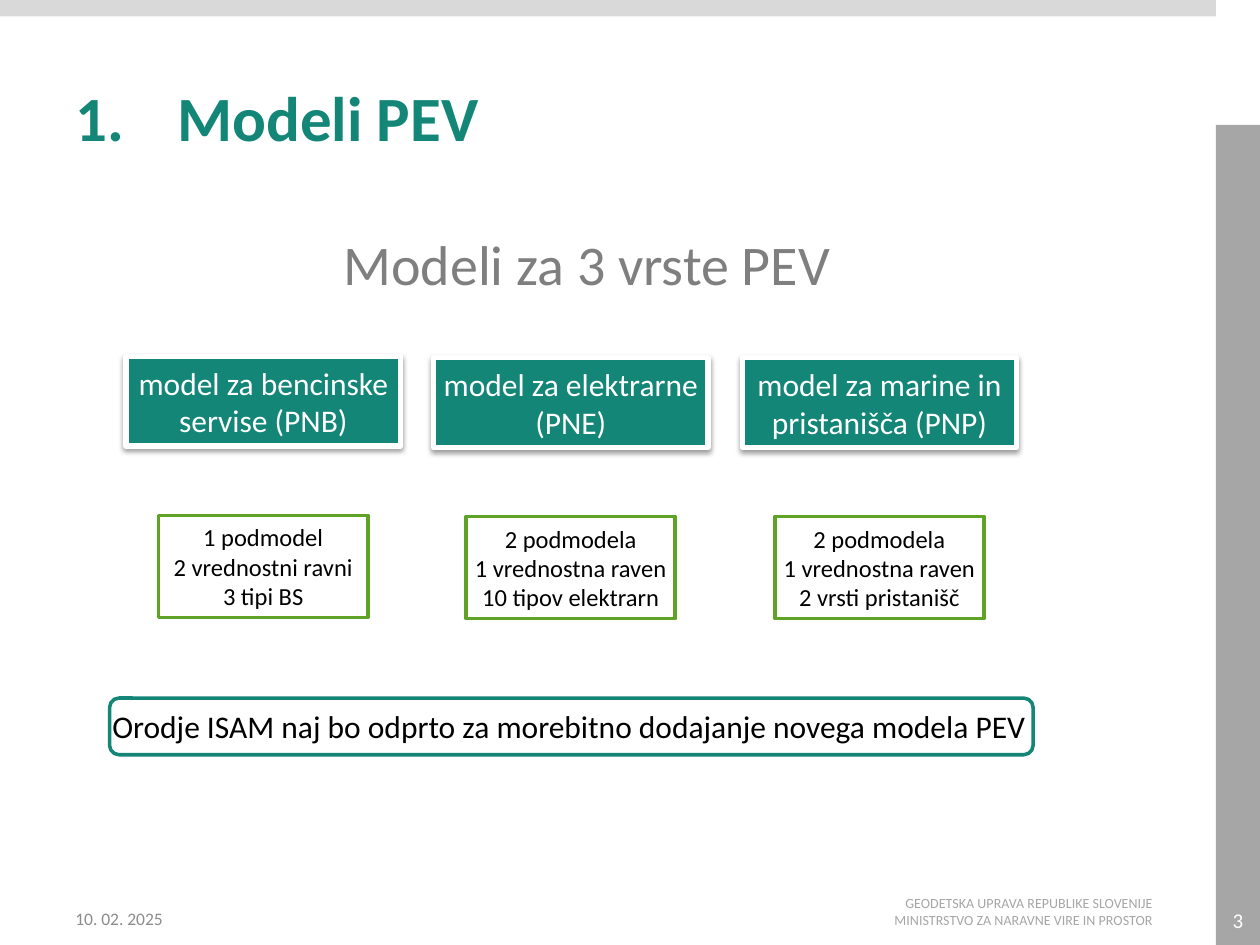
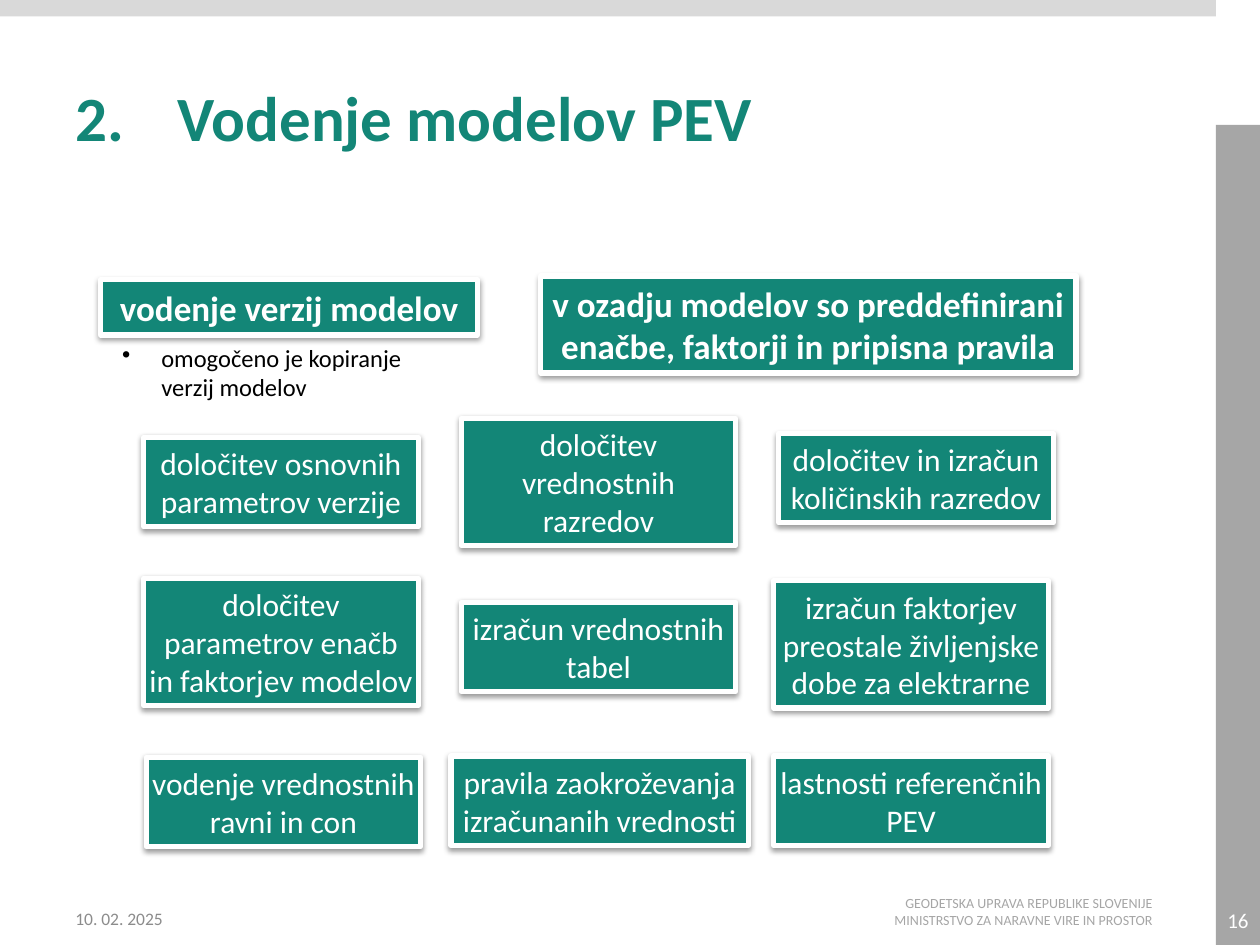
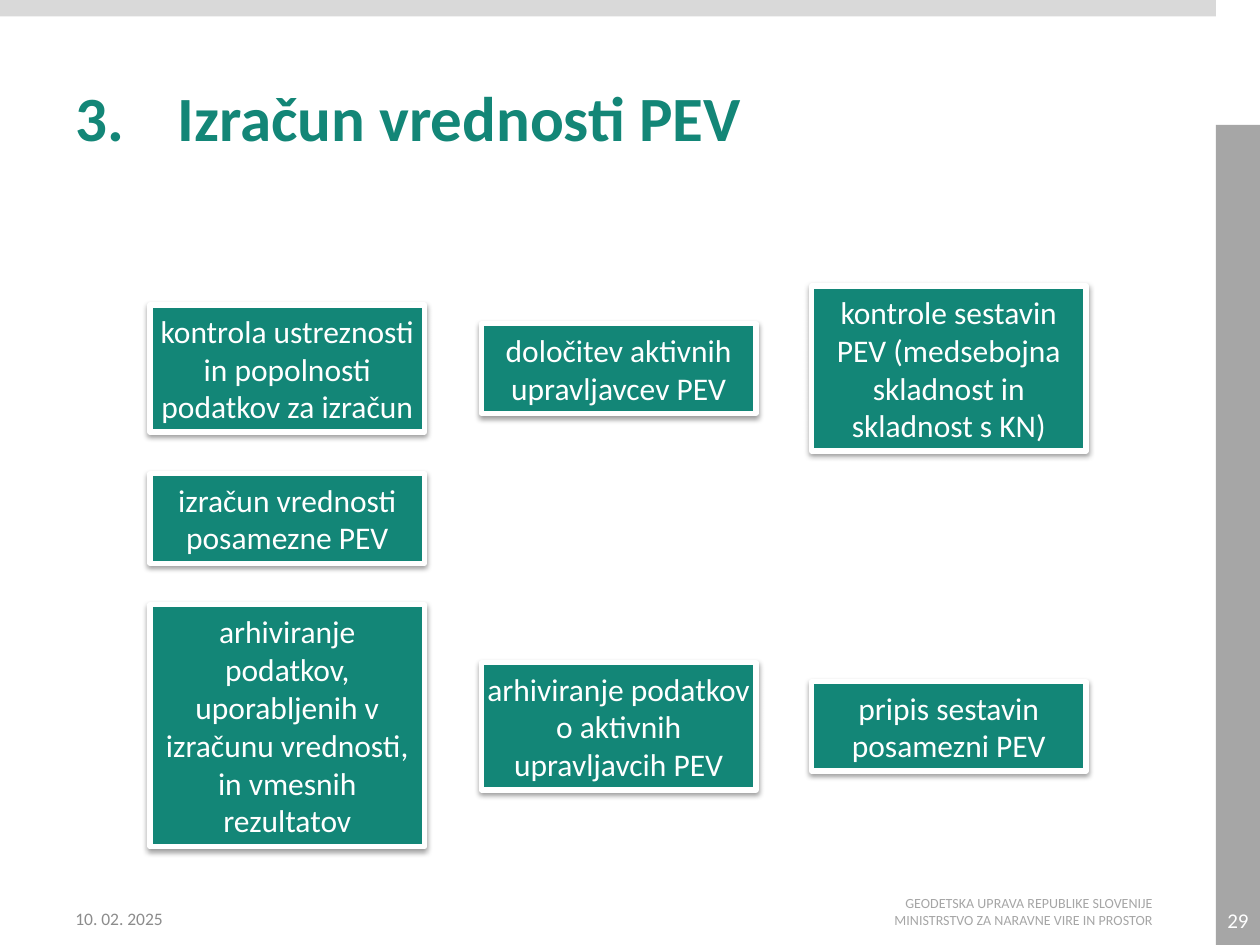
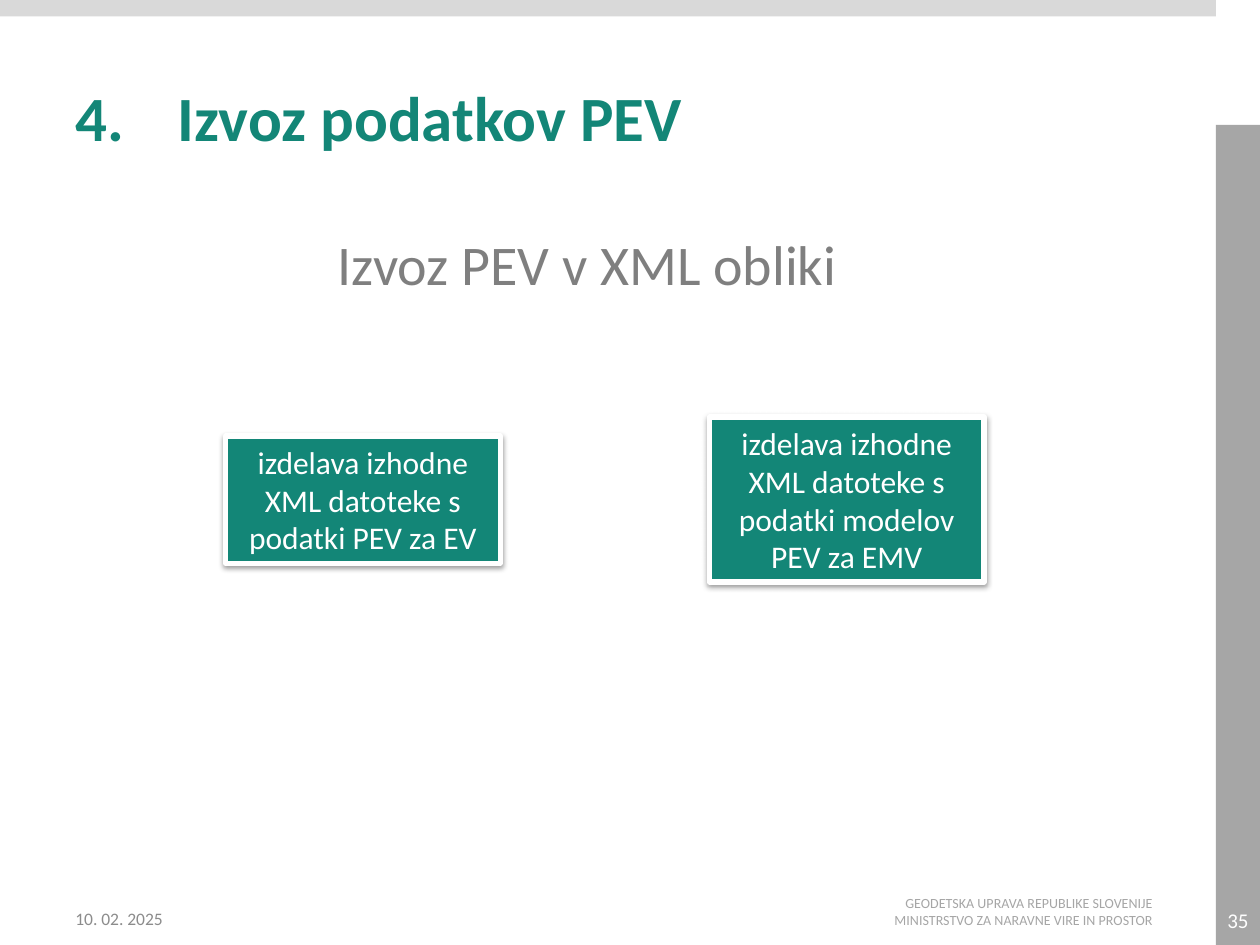
from dataclasses import dataclass

import pptx
import pptx.dml.color
import pptx.enum.shapes
import pptx.enum.text
import pptx.oxml
import pptx.oxml.ns
import pptx.util

PX = 9144
FONT = "Calibri"
COLORS = {
    "teal": "138677",
    "green": "5EA226",
    "white": "FFFFFF",
    "black": "000000",
    "heading": "7F7F7F",
    "date": "8C8C8C",
    "band": "A6A6A6",
    "top_band": "D9D9D9",
}
ALIGN = pptx.enum.text.PP_ALIGN
ANCHOR = pptx.enum.text.MSO_ANCHOR
FIT = pptx.enum.text.MSO_AUTO_SIZE
SHAPE = pptx.enum.shapes.MSO_SHAPE
CARD_WIDTH = 218
DATE = "10. 02. 2025"
OFFICE = (
    "GEODETSKA UPRAVA REPUBLIKE SLOVENIJE",
    "MINISTRSTVO ZA NARAVNE VIRE IN PROSTOR",
)


@dataclass(frozen=True)
class Box:
    x: int
    y: int
    w: int
    h: int


@dataclass(frozen=True)
class Style:
    size: int
    color: str
    bold: bool = False
    align: ALIGN = ALIGN.LEFT
    anchor: ANCHOR = ANCHOR.MIDDLE
    inset: int = 0
    wrap: bool = True
    grow: bool = False


@dataclass(frozen=True)
class Card:
    x: int
    middle: int
    lines: int
    text: str
    w: int = CARD_WIDTH
    size: int = 18
    bold: bool = False


@dataclass(frozen=True)
class Model:
    card: Card
    details: tuple[str, ...]


@dataclass(frozen=True)
class Page:
    section: int
    title: str
    number: int
    cards: tuple[Card, ...]
    heading: str = ""


TITLE = Style(36, "teal", bold=True, inset=10)
HEADING = Style(32, "heading", align=ALIGN.CENTER, grow=True)
DETAIL = Style(14, "black", align=ALIGN.CENTER, inset=4, grow=True)
NOTE = Style(14, "black", grow=True)
CALLOUT = Style(18, "black", wrap=False, grow=True)
DATE_STYLE = Style(10, "date", inset=10)
OFFICE_STYLE = Style(8, "band", align=ALIGN.RIGHT, anchor=ANCHOR.TOP, inset=10)
NUMBER = Style(12, "white", align=ALIGN.CENTER, wrap=False)

MODELS = (
    Model(
        Card(100, 318, 2, "model za bencinske servise (PNB)"),
        ("1 podmodel", "2 vrednostni ravni", "3 tipi BS"),
    ),
    Model(
        Card(344, 319, 2, "model za elektrarne (PNE)"),
        ("2 podmodela", "1 vrednostna raven", "10 tipov elektrarn"),
    ),
    Model(
        Card(589, 319, 2, "model za marine in pristanišča (PNP)"),
        ("2 podmodela", "1 vrednostna raven", "2 vrsti pristanišč"),
    ),
)

MODELS_PAGE = Page(
    1, "Modeli PEV", 3, tuple(m.card for m in MODELS), "Modeli za 3 vrste PEV"
)
VERSIONS_PAGE = Page(
    2,
    "Vodenje modelov PEV",
    16,
    (
        Card(80, 244, 1, "vodenje verzij modelov", 299, 20, True),
        Card(
            429,
            257,
            2,
            "v ozadju modelov so preddefinirani enačbe, faktorji in pripisna pravila",
            425,
            20,
            True,
        ),
        Card(114, 382, 2, "določitev osnovnih parametrov verzije"),
        Card(366, 382, 3, "določitev vrednostnih razredov"),
        Card(618, 379, 2, "določitev in izračun količinskih razredov"),
        Card(114, 509, 3, "določitev parametrov enačb in faktorjev modelov"),
        Card(366, 513, 2, "izračun vrednostnih tabel"),
        Card(614, 511, 3, "izračun faktorjev preostale življenjske dobe za elektrarne"),
        Card(116, 636, 2, "vodenje vrednostnih ravni in con"),
        Card(358, 635, 2, "pravila zaokroževanja izračunanih vrednosti", 236),
        Card(614, 635, 2, "lastnosti referenčnih PEV"),
    ),
)
VALUES_PAGE = Page(
    3,
    "Izračun vrednosti PEV",
    29,
    (
        Card(119, 292, 3, "kontrola ustreznosti in popolnosti podatkov za izračun"),
        Card(382, 292, 2, "določitev aktivnih upravljavcev PEV"),
        Card(644, 292, 4, "kontrole sestavin PEV (medsebojna skladnost in skladnost s KN)"),
        Card(119, 411, 2, "izračun vrednosti posamezne PEV"),
        Card(
            119,
            576,
            6,
            "arhiviranje podatkov, uporabljenih v izračunu vrednosti, in vmesnih rezultatov",
        ),
        Card(382, 576, 3, "arhiviranje podatkov o aktivnih upravljavcih PEV"),
        Card(644, 576, 2, "pripis sestavin posamezni PEV"),
    ),
)
EXPORT_PAGE = Page(
    4,
    "Izvoz podatkov PEV",
    35,
    (
        Card(179, 396, 3, "izdelava izhodne XML datoteke s podatki PEV za EV"),
        Card(563, 396, 4, "izdelava izhodne XML datoteke s podatki modelov PEV za EMV"),
    ),
    "Izvoz PEV v XML obliki",
)


def rgb(name: str) -> pptx.dml.color.RGBColor:
    return pptx.dml.color.RGBColor.from_string(COLORS[name])


def emu(box: Box) -> tuple[int, ...]:
    return tuple(v * PX for v in (box.x, box.y, box.w, box.h))


def fitted_height(size: int, lines: int) -> int:
    return 10 + round(lines * size * 1.683)


def write(sp, lines: tuple[str, ...], style: Style) -> None:
    tf = sp.text_frame
    tf.word_wrap = style.wrap
    tf.auto_size = FIT.SHAPE_TO_FIT_TEXT if style.grow else FIT.NONE
    tf.vertical_anchor = style.anchor
    tf.margin_left = tf.margin_right = style.inset * PX
    tf.margin_top = tf.margin_bottom = 5 * PX
    for i, line in enumerate(lines):
        p = tf.add_paragraph() if i else tf.paragraphs[0]
        p.alignment = style.align
        r = p.add_run()
        r.text = line
        r.font.name = FONT
        r.font.size = pptx.util.Pt(style.size)
        r.font.bold = style.bold
        r.font.color.rgb = rgb(style.color)


def add_text(s, box: Box, lines: tuple[str, ...], style: Style):
    sp = s.shapes.add_textbox(*emu(box))
    write(sp, lines, style)
    return sp


def add_block(s, box: Box, fill: str, line: str = "", width: int = 0, kind=SHAPE.RECTANGLE):
    sp = s.shapes.add_shape(kind, *emu(box))
    sp.shadow.inherit = False
    sp.fill.solid()
    sp.fill.fore_color.rgb = rgb(fill)
    if line:
        sp.line.color.rgb = rgb(line)
        sp.line.width = pptx.util.Pt(width)
    else:
        sp.line.fill.background()
    return sp


def add_bullet(sp, indent: int, tag: str, **attrs: str) -> None:
    pPr = sp.text_frame.paragraphs[0]._p.get_or_add_pPr()
    pPr.set("marL", str(indent * PX))
    pPr.set("indent", str(-indent * PX))
    bullet = pPr.makeelement(pptx.oxml.ns.qn(tag), attrs)
    pPr.append(bullet)


def add_shadow(sp) -> None:
    effects = sp._element.spPr.find(pptx.oxml.ns.qn("a:effectLst"))
    effects.append(
        pptx.oxml.parse_xml(
            f'<a:outerShdw {pptx.oxml.ns.nsdecls("a")} blurRad="40000" dist="20000" '
            f'dir="5400000" rotWithShape="0"><a:srgbClr val="{COLORS["black"]}">'
            '<a:alpha val="38000"/></a:srgbClr></a:outerShdw>'
        )
    )


def add_card(s, card: Card) -> None:
    h = fitted_height(card.size, card.lines)
    sp = add_block(s, Box(card.x, card.middle - h // 2, card.w, h), "teal", "white", 3)
    add_shadow(sp)
    style = Style(card.size, "white", card.bold, ALIGN.CENTER, inset=4, grow=True)
    write(sp, (card.text,), style)


def add_page(prs, page: Page):
    s = prs.slides.add_slide(prs.slide_layouts[6])
    add_text(s, Box(657, 705, 268, 40), OFFICE, OFFICE_STYLE)
    add_block(s, Box(965, 99, 35, 651), "band")
    add_block(s, Box(0, 0, 965, 13), "top_band")
    title = add_text(s, Box(50, 30, 757, 125), (page.title,), TITLE)
    add_bullet(title, 81, "a:buAutoNum", type="arabicPeriod", startAt=str(page.section))
    add_text(s, Box(50, 709, 233, 40), (DATE,), DATE_STYLE)
    add_text(s, Box(965, 710, 35, 40), (str(page.number),), NUMBER)
    if page.heading:
        box = Box(138, 177, 656, fitted_height(HEADING.size, 1))
        add_text(s, box, (page.heading,), HEADING)
    for card in page.cards:
        add_card(s, card)
    return s


def add_model_details(s, model: Model) -> None:
    w, h = 166, fitted_height(DETAIL.size, len(model.details))
    x = model.card.x + (CARD_WIDTH - w) // 2
    box = Box(x, model.card.middle + 131 - h // 2, w, h)
    write(add_block(s, box, "white", "green", 2), model.details, DETAIL)


def main() -> None:
    prs = pptx.Presentation()
    prs.slide_width, prs.slide_height = 1000 * PX, 750 * PX

    s = add_page(prs, MODELS_PAGE)
    for model in MODELS:
        add_model_details(s, model)
    callout = add_block(
        s, Box(87, 554, 733, 45), "white", "teal", 2, SHAPE.ROUNDED_RECTANGLE
    )
    write(
        callout,
        ("Orodje ISAM naj bo odprto za morebitno dodajanje novega modela PEV",),
        CALLOUT,
    )

    s = add_page(prs, VERSIONS_PAGE)
    note = add_text(
        s,
        Box(97, 267, 252, fitted_height(NOTE.size, 2)),
        ("omogočeno je kopiranje verzij modelov",),
        NOTE,
    )
    add_bullet(note, 31, "a:buChar", char="•")

    add_page(prs, VALUES_PAGE)
    add_page(prs, EXPORT_PAGE)
    prs.save("out.pptx")


if __name__ == "__main__":
    main()
